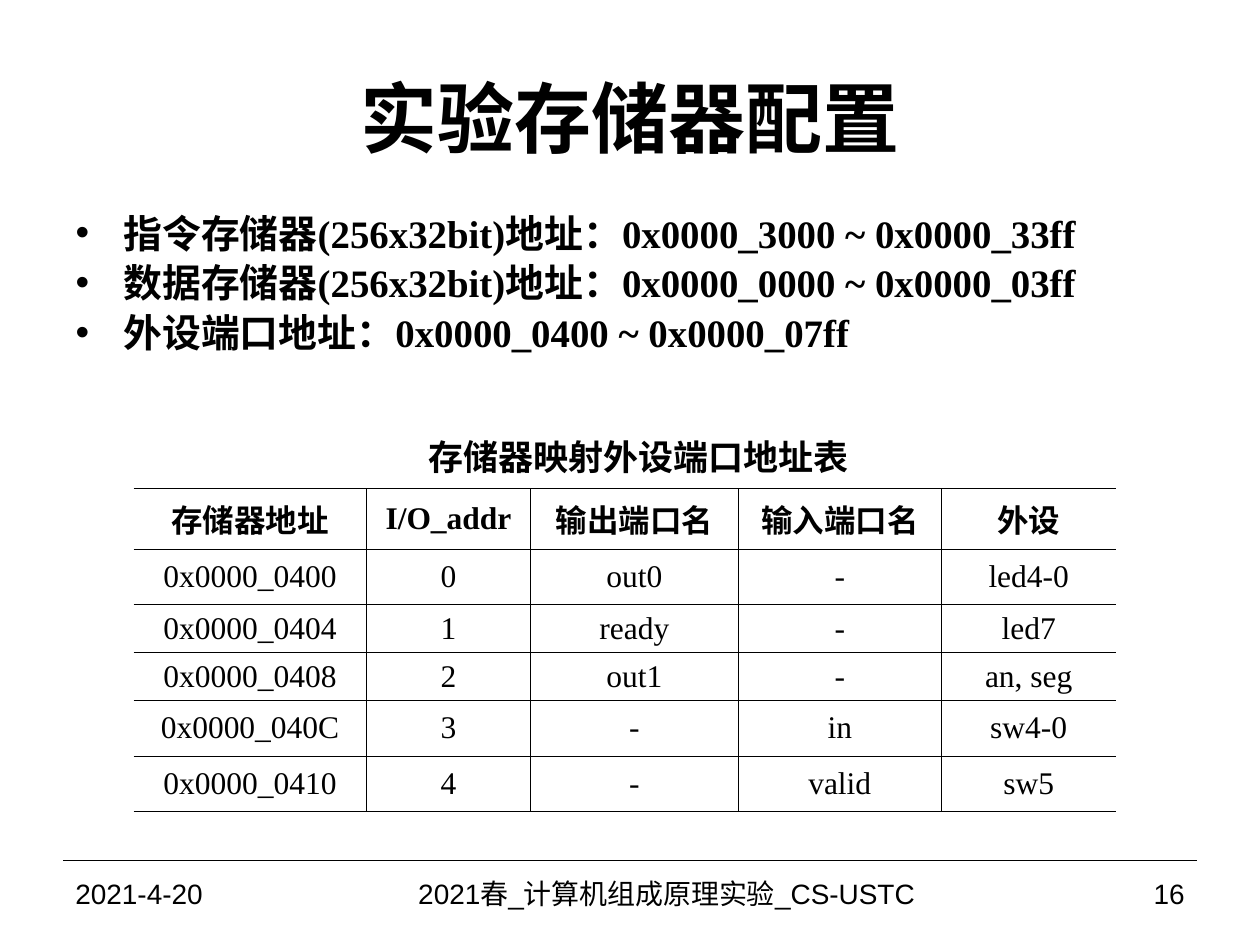
"""Build the slide on memory configuration for the lab course."""
from dataclasses import dataclass

from lxml import etree
from pptx import Presentation
from pptx.dml.color import RGBColor
from pptx.enum.shapes import MSO_CONNECTOR
from pptx.enum.text import MSO_ANCHOR, MSO_AUTO_SIZE, PP_ALIGN
from pptx.oxml.ns import qn
from pptx.util import Inches, Pt

LEFT, CENTER, RIGHT = PP_ALIGN.LEFT, PP_ALIGN.CENTER, PP_ALIGN.RIGHT
TOP, MIDDLE = MSO_ANCHOR.TOP, MSO_ANCHOR.MIDDLE


@dataclass(frozen=True)
class Theme:
    ink: str = "000000"
    sans: str = "Arial"
    serif: str = "Times New Roman"
    title: float = 44
    body: float = 22.2
    caption: float = 20
    cell: float = 18
    footer: float = 16
    thick: float = 0.75
    thin: float = 0.45


THEME = Theme()
WIDTH, HEIGHT = 10, 7.5
MARGIN = 0.05 * WIDTH
CONTENT = WIDTH - 2 * MARGIN
INDENT = 0.38

TITLE = "实验存储器配置"
MEMORY_RANGES = [
    "指令存储器(256x32bit)地址：0x0000_3000 ~ 0x0000_33ff",
    "数据存储器(256x32bit)地址：0x0000_0000 ~ 0x0000_03ff",
    "外设端口地址：0x0000_0400 ~ 0x0000_07ff",
]
CAPTION = "存储器映射外设端口地址表"
PORTS = [
    ("存储器地址", "I/O_addr", "输出端口名", "输入端口名", "外设"),
    ("0x0000_0400", "0", "out0", "-", "led4-0"),
    ("0x0000_0404", "1", "ready", "-", "led7"),
    ("0x0000_0408", "2", "out1", "-", "an, seg"),
    ("0x0000_040C", "3", "-", "in", "sw4-0"),
    ("0x0000_0410", "4", "-", "valid", "sw5"),
]
COLUMN_WIDTHS = [1.85, 1.3, 1.65, 1.61, 1.39]
ROW_HEIGHTS = [0.48, 0.44, 0.38, 0.38, 0.44, 0.44]
TABLE_LEFT, TABLE_TOP = 1.06, 3.88
FOOTER_TOP, FOOTER_HEIGHT = 6.83, 0.52
FOOTER = [
    ("2021-4-20", 2.33, LEFT),
    ("2021春_计算机组成原理实验_CS-USTC", 4.92, CENTER),
    ("16", 1.75, RIGHT),
]


def write(frame, text, size, font, bold=False, align=LEFT, anchor=MIDDLE):
    frame.text = text
    frame.vertical_anchor = anchor
    for paragraph in frame.paragraphs:
        paragraph.alignment = align
        for run in paragraph.runs:
            run.font.size = Pt(size)
            run.font.name = font
            run.font.bold = bold
            run.font.color.rgb = RGBColor.from_string(THEME.ink)


def place(shape, left, top, width, height):
    shape.left, shape.top = Inches(left), Inches(top)
    shape.width, shape.height = Inches(width), Inches(height)


def add_label(slide, box, wrap, *style, **layout):
    frame = slide.shapes.add_textbox(*map(Inches, box)).text_frame
    frame.word_wrap = wrap
    write(frame, *style, **layout)


def fill_placeholders(slide):
    title, body = slide.placeholders
    place(title, MARGIN, 0.3, CONTENT, 1.25)
    write(title.text_frame, TITLE, THEME.title, THEME.sans, True, CENTER)
    place(body, MARGIN, 1.67, CONTENT, 1.39)
    frame = body.text_frame
    write(frame, "\n".join(MEMORY_RANGES), THEME.body, THEME.serif, True, anchor=TOP)
    frame.auto_size = MSO_AUTO_SIZE.NONE
    for paragraph in frame.paragraphs:
        paragraph.space_before = Pt(6)
        paragraph.line_spacing = 0.84
        properties = paragraph._p.get_or_add_pPr()
        properties.set("marL", str(Inches(INDENT)))
        properties.set("indent", str(-Inches(INDENT)))
        etree.SubElement(properties, qn("a:buChar"), char="•")


def add_border(cell, side, weight):
    line = etree.SubElement(cell._tc.get_or_add_tcPr(), qn(f"a:ln{side}"), w=str(Pt(weight)))
    if weight:
        fill = etree.SubElement(line, qn("a:solidFill"))
        etree.SubElement(fill, qn("a:srgbClr"), val=THEME.ink)
    else:
        etree.SubElement(line, qn("a:noFill"))


def add_port_table(slide):
    rows, columns = len(PORTS), len(COLUMN_WIDTHS)
    extent = TABLE_LEFT, TABLE_TOP, sum(COLUMN_WIDTHS), sum(ROW_HEIGHTS)
    table = slide.shapes.add_table(rows, columns, *map(Inches, extent)).table
    table.first_row = table.horz_banding = False
    for column, width in zip(table.columns, COLUMN_WIDTHS):
        column.width = Inches(width)
    for row, height in zip(table.rows, ROW_HEIGHTS):
        row.height = Inches(height)
    vertical = [0] + [THEME.thin] * (columns - 2) + [THEME.thick, 0]
    horizontal = [THEME.thick] * 2 + [THEME.thin] * (rows - 2) + [THEME.thick]
    for r, entries in enumerate(PORTS):
        for c, entry in enumerate(entries):
            cell = table.cell(r, c)
            write(cell.text_frame, entry, THEME.cell, THEME.serif, r == 0, CENTER)
            cell.vertical_anchor = MIDDLE
            cell.margin_top = cell.margin_bottom = Inches(0.04)
            weights = vertical[c], vertical[c + 1], horizontal[r], horizontal[r + 1]
            for side, weight in zip("LRTB", weights):
                add_border(cell, side, weight)
            cell.fill.background()


def add_footer(slide):
    ends = MARGIN, FOOTER_TOP, MARGIN + CONTENT, FOOTER_TOP
    rule = slide.shapes.add_connector(MSO_CONNECTOR.STRAIGHT, *map(Inches, ends))
    rule.line.color.rgb = RGBColor.from_string(THEME.ink)
    rule.line.width = Pt(THEME.thick)
    etree.SubElement(rule._element.spPr, qn("a:effectLst"))
    left = MARGIN
    for text, width, align in FOOTER:
        box = left, FOOTER_TOP, width, FOOTER_HEIGHT
        add_label(slide, box, True, text, THEME.footer, THEME.sans, align=align)
        left += width


def main():
    deck = Presentation()
    deck.slide_width, deck.slide_height = Inches(WIDTH), Inches(HEIGHT)
    slide = deck.slides.add_slide(deck.slide_layouts[1])
    fill_placeholders(slide)
    add_port_table(slide)
    add_label(slide, (3.3, 3.41, 3.54, 0.44), False, CAPTION, THEME.caption,
              THEME.serif, True, align=CENTER, anchor=TOP)
    add_footer(slide)
    deck.save("out.pptx")


if __name__ == "__main__":
    main()
